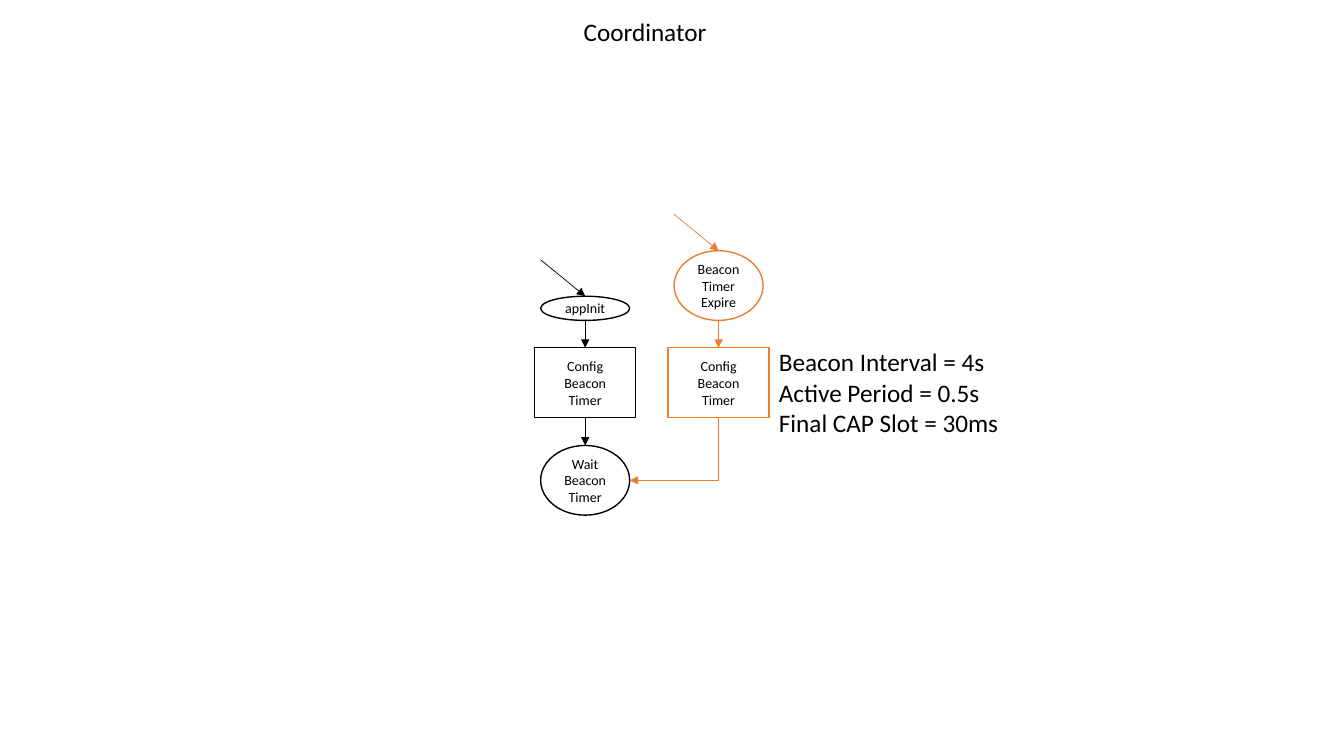
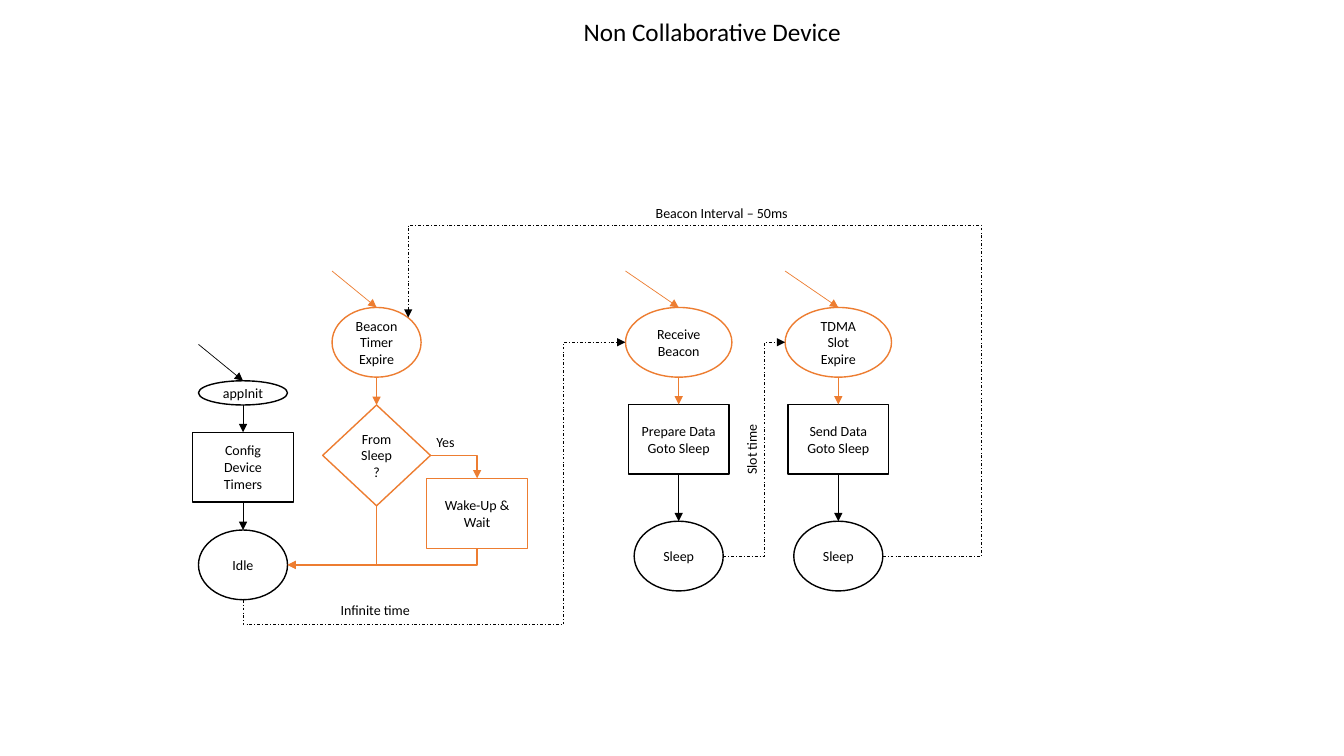
from dataclasses import dataclass

from lxml.etree import SubElement
from pptx import Presentation
from pptx.dml.color import RGBColor
from pptx.enum.dml import MSO_LINE
from pptx.enum.shapes import MSO_CONNECTOR, MSO_SHAPE
from pptx.enum.text import MSO_ANCHOR, MSO_AUTO_SIZE, PP_ALIGN
from pptx.oxml.ns import qn
from pptx.util import Pt

BLACK, ORANGE, WHITE = "000000", "ED7D31", "FFFFFF"
FONT = "Calibri"
STATE_W, EVENT_W, STEP_W = 63.6, 76, 72
NODE_H, INIT_H = 49.8, 17.3
ENTRY_RISE = 26
TITLE_AT = (409.7, 7.9, 201, 29)


@dataclass
class Node:
    """Edges and centre of a flowchart node, in points."""
    cx: float
    top: float
    w: float
    h: float

    @property
    def left(self):
        """Middle of the left side."""
        return self.cx - self.w / 2, self.top + self.h / 2

    @property
    def right(self):
        """Middle of the right side."""
        return self.cx + self.w / 2, self.top + self.h / 2

    @property
    def head(self):
        """Middle of the top side."""
        return self.cx, self.top

    @property
    def foot(self):
        """Middle of the bottom side."""
        return self.cx, self.top + self.h


def rgb(value):
    """Turn a hex string into a colour."""
    return RGBColor.from_string(value)


def apply(obj, **values):
    """Set each named attribute on obj."""
    for name, value in values.items():
        setattr(obj, name, value)


def write(tf, text, size, align=PP_ALIGN.LEFT, **frame):
    """Fill a text frame, one paragraph a line."""
    tf.text = text
    apply(tf, **frame)
    for p in tf.paragraphs:
        p.alignment = align
        for r in p.runs:
            apply(r.font, name=FONT, size=Pt(size))
            r.font.color.rgb = rgb(BLACK)


def add_titled_slide(prs, title):
    """Add a slide with its small title at the top."""
    slide = prs.slides.add_slide(prs.slide_layouts[5])
    sp = slide.shapes.title
    place = zip(("left", "top", "width", "height"), map(Pt, TITLE_AT))
    apply(sp, **dict(place))
    write(sp.text_frame, title, 18, word_wrap=False,
          auto_size=MSO_AUTO_SIZE.NONE, vertical_anchor=MSO_ANCHOR.TOP)
    return slide


def add_label(slide, text, left, top, w, h, size=10, rotation=0):
    """Add free text that does not wrap."""
    sp = slide.shapes.add_textbox(Pt(left), Pt(top), Pt(w), Pt(h))
    sp.rotation = rotation
    write(sp.text_frame, text, size, word_wrap=False,
          auto_size=MSO_AUTO_SIZE.SHAPE_TO_FIT_TEXT)


def add_node(slide, kind, text, cx, top, w, h=NODE_H, color=BLACK):
    """Add an outlined shape centred on cx and return its node."""
    sp = slide.shapes.add_shape(kind, Pt(cx - w / 2), Pt(top), Pt(w), Pt(h))
    sp.shadow.inherit = False
    sp.fill.solid()
    sp.fill.fore_color.rgb = rgb(WHITE)
    sp.line.color.rgb = rgb(color)
    sp.line.width = Pt(1)
    write(sp.text_frame, text, 10, PP_ALIGN.CENTER, word_wrap=True,
          vertical_anchor=MSO_ANCHOR.MIDDLE)
    return Node(cx, top, w, h)


def add_state(slide, text, cx, top, w=STATE_W, h=NODE_H, color=BLACK):
    """Add an ellipse."""
    return add_node(slide, MSO_SHAPE.OVAL, text, cx, top, w, h, color)


def add_step(slide, text, cx, top, color=BLACK):
    """Add a rectangle."""
    return add_node(slide, MSO_SHAPE.RECTANGLE, text, cx, top, STEP_W,
                    color=color)


def add_arrow(slide, *points, color=BLACK, width=0.5, dash=None):
    """Join points by an arrow: straight for two, else right-angled."""
    (x1, y1), (x2, y2) = start, end = points[0], points[-1]
    turns = points[1:-1]
    upright = bool(turns) and turns[0][0] == x1
    dx, dy = (y2 - y1, x1 - x2) if upright else (x2 - x1, y2 - y1)
    cx, cy = (x1 + x2) / 2, (y1 + y2) / 2
    kind = MSO_CONNECTOR.ELBOW if turns else MSO_CONNECTOR.STRAIGHT
    c = slide.shapes.add_connector(kind, Pt(cx - dx / 2), Pt(cy - dy / 2),
                                   Pt(cx + dx / 2), Pt(cy + dy / 2))
    apply(c.line, width=Pt(width), dash_style=dash)
    c.line.color.rgb = rgb(color)
    spPr = c.element.spPr
    SubElement(spPr.find(qn("a:ln")), qn("a:tailEnd"), type="triangle")
    SubElement(spPr, qn("a:effectLst"))
    if upright:
        spPr.find(qn("a:xfrm")).set("rot", "5400000")
    if turns:
        geom = spPr.find(qn("a:prstGeom"))
        geom.set("prst", f"bentConnector{len(turns) + 1}")
        for i, turn in enumerate(turns[:-1]):
            axis = (i + upright) % 2
            part = (turn[axis] - start[axis]) / (end[axis] - start[axis])
            SubElement(geom.find(qn("a:avLst")), qn("a:gd"),
                       name=f"adj{i + 1}" if len(turns) > 2 else "adj1",
                       fmla=f"val {round(part * 100000)}")


def add_entry(slide, node, color):
    """Add the slanted arrow that enters a node from above."""
    add_arrow(slide, (node.left[0], node.top - ENTRY_RISE), node.head,
              color=color)


def add_event(slide, text, cx, top, w=STATE_W):
    """Add an orange ellipse with its entry arrow."""
    event = add_state(slide, text, cx, top, w, color=ORANGE)
    add_entry(slide, event, ORANGE)
    return event


def add_init_column(slide, cx, top, step_text, state_text):
    """Add the start-up flow and return its final state."""
    init = add_state(slide, "appInit", cx, top, h=INIT_H)
    step = add_step(slide, step_text, cx, top + 36.8)
    state = add_state(slide, state_text, cx, top + 106.6)
    add_entry(slide, init, BLACK)
    add_arrow(slide, init.foot, step.head)
    add_arrow(slide, step.foot, state.head)
    return state


def add_event_column(slide, cx, top, event_text, step_text):
    """Add an event that ends in sleep; return the event and the sleep."""
    event = add_event(slide, event_text, cx, top, EVENT_W)
    step = add_step(slide, step_text, cx, top + 69.3)
    sleep = add_state(slide, "Sleep", cx, top + 152.7)
    add_arrow(slide, event.foot, step.head, color=ORANGE)
    add_arrow(slide, step.foot, sleep.head)
    return event, sleep


def add_return(slide, node, state):
    """Lead from the foot of a node back to the right side of a state."""
    add_arrow(slide, node.foot, (node.cx, state.right[1]), state.right,
              color=ORANGE, width=1)


def add_wait(slide, *points):
    """Add a dash-dot arrow for passing time."""
    add_arrow(slide, *points, dash=MSO_LINE.DASH_DOT)


def build_coordinator(prs):
    """Build the coordinator flow."""
    slide = add_titled_slide(prs, "Coordinator")
    config = "Config\nBeacon\nTimer"
    wait = add_init_column(slide, 418, 211.6, config, "Wait\nBeacon\nTimer")
    expire = add_event(slide, "Beacon\nTimer\nExpire", 513.3, 179.1)
    step = add_step(slide, config, 513.3, 248.4, ORANGE)
    add_arrow(slide, expire.foot, step.head, color=ORANGE)
    add_return(slide, step, wait)
    add_label(slide, "Beacon Interval = 4s\nActive Period = 0.5s\n"
              "Final CAP Slot = 30ms", 549.3, 244.1, 172.8, 72.7, 18)


def build_device(prs):
    """Build the flow of the non collaborative device."""
    slide = add_titled_slide(prs, "Non Collaborative Device")
    event_top = 219.6
    idle = add_init_column(slide, 173.6, 272, "Config\nDevice\nTimers", "Idle")
    expire = add_event(slide, "Beacon\nTimer\nExpire", 269, event_top)
    choice = add_node(slide, MSO_SHAPE.DIAMOND, "From\vSleep\v?", 269, 289.3,
                      77, 72, ORANGE)
    wake = add_step(slide, "Wake-Up &\nWait", 340.8, 341.8, ORANGE)
    add_arrow(slide, expire.foot, choice.head, color=ORANGE)
    add_arrow(slide, choice.right, (wake.cx, choice.right[1]), wake.head,
              color=ORANGE, width=1)
    for node in (choice, wake):
        add_return(slide, node, idle)

    receive, nap = add_event_column(slide, 484.8, event_top, "Receive Beacon",
                                    "Prepare Data\nGoto Sleep")
    slot, rest = add_event_column(slide, 598.8, event_top,
                                  "TDMA Slot\nExpire", "Send Data\nGoto Sleep")
    floor, roof = 446.2, 161
    before_receive, before_slot, after_rest = 402.5, 546.1, 701.1
    corner = (291.6, 226.9)
    add_wait(slide, idle.foot, (idle.cx, floor), (before_receive, floor),
             (before_receive, receive.left[1]), receive.left)
    add_wait(slide, nap.right, (before_slot, nap.right[1]),
             (before_slot, slot.left[1]), slot.left)
    add_wait(slide, rest.right, (after_rest, rest.right[1]),
             (after_rest, roof), (corner[0], roof), corner)

    add_label(slide, "Yes", 304.6, 306, 28.1, 19.4)
    add_label(slide, "Beacon Interval – 50ms", 461.3, 142.6, 110.2, 19.4)
    add_label(slide, "Infinite time", 236.2, 426.2, 64.8, 19.4)
    add_label(slide, "Slot time", 511.2, 311, 51.1, 19.4, rotation=270)


def main():
    """Build and save the presentation."""
    prs = Presentation()
    apply(prs, slide_width=Pt(960), slide_height=Pt(540))
    build_coordinator(prs)
    build_device(prs)
    prs.save("out.pptx")


if __name__ == "__main__":
    main()
